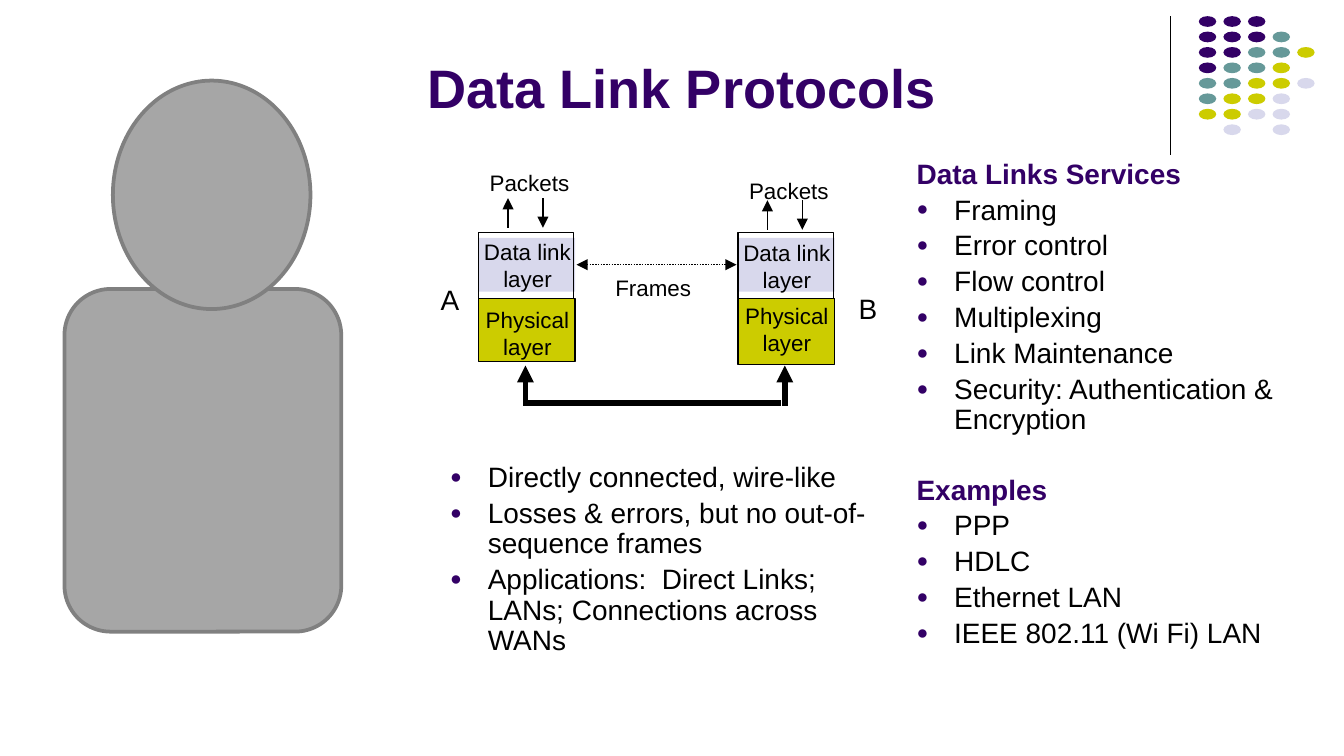
from lxml import etree
from pptx import Presentation
from pptx import util as u
from pptx.dml import color
from pptx.enum import dml, shapes, text
from pptx.oxml import ns

PURPLE, TEAL, OLIVE, LILAC = "330066", "669999", "CCCC00", "D8D8EC"
BLACK, GREY, DARK_GREY = "000000", "A6A6A6", "808080"
DOT_COLOURS = {"P": PURPLE, "T": TEAL, "O": OLIVE, "L": LILAC}
DOT_ROWS = ["PPP", "PPPT", "PPTTO", "PTTO", "TTOOL", "TOOL", "OOLL", " L L"]

LINK_FEATURES = [
    "Directly connected, wire-like",
    "Losses & errors, but no out-of-sequence frames",
    "Applications:  Direct Links; LANs; Connections across WANs",
]
SERVICES = [
    "Data Links Services", "Framing", "Error control", "Flow control",
    "Multiplexing", "Link Maintenance", "Security: Authentication & Encryption",
    "Examples", "PPP", "HDLC", "Ethernet LAN", "IEEE 802.11 (Wi Fi) LAN",
]
HEADINGS = ("Data Links Services", "Examples")


def rgb(value):
    return color.RGBColor.from_string(value)


class SlideBuilder:
    font = "Arial"
    body_size = 15
    label_size = 12
    thin = 0.75

    def __init__(self, page):
        self.page = page

    def style(self, para, size, colour=BLACK, bold=False):
        for span in para.runs:
            span.font.name = self.font
            span.font.size = u.Pt(size)
            span.font.bold = bold
            span.font.color.rgb = rgb(colour)

    def place(self, box, at):
        box.left, box.top, box.width, box.height = map(u.Inches, at)

    def title(self, words, at):
        box = self.page.shapes.title
        self.place(box, at)
        frame = box.text_frame
        frame.text = words
        frame.auto_size = text.MSO_AUTO_SIZE.NONE
        frame.vertical_anchor = text.MSO_ANCHOR.BOTTOM
        frame.paragraphs[0].alignment = text.PP_ALIGN.LEFT
        self.style(frame.paragraphs[0], 29, PURPLE, True)

    def bullet(self, para, shown):
        props = para._p.get_or_add_pPr()
        props.set("marL", str(u.Inches(0.28)))
        props.set("indent", str(u.Inches(-0.28)))
        if not shown:
            etree.SubElement(props, ns.qn("a:buNone"))
            return
        tint = etree.SubElement(props, ns.qn("a:buClr"))
        etree.SubElement(tint, ns.qn("a:srgbClr"), val=PURPLE)
        etree.SubElement(props, ns.qn("a:buSzPct"), val="70000")
        etree.SubElement(props, ns.qn("a:buFont"), typeface=self.font)
        etree.SubElement(props, ns.qn("a:buChar"), char="●")

    def body(self, index, items, at):
        box = self.page.placeholders[index]
        self.place(box, at)
        frame = box.text_frame
        frame.text = "\n".join(items)
        frame.auto_size = text.MSO_AUTO_SIZE.NONE
        frame.vertical_anchor = text.MSO_ANCHOR.TOP
        for number, para in enumerate(frame.paragraphs):
            heading = para.text in HEADINGS
            self.bullet(para, not heading)
            para.line_spacing = 0.9
            gap = 21.5 if heading else 3
            para.space_before = u.Pt(gap if number else 0)
            self.style(para, self.body_size, PURPLE if heading else BLACK, heading)

    def shape(self, kind, at, fill=None, line=None, width=thin):
        box = self.page.shapes.add_shape(kind, *map(u.Inches, at))
        box.shadow.inherit = False
        if fill:
            box.fill.solid()
            box.fill.fore_color.rgb = rgb(fill)
        else:
            box.fill.background()
        if line:
            box.line.color.rgb = rgb(line)
            box.line.width = u.Pt(width)
        else:
            box.line.fill.background()

    def label(self, words, at, size=label_size, align=text.PP_ALIGN.CENTER):
        box = self.page.shapes.add_textbox(*map(u.Inches, at))
        frame = box.text_frame
        frame.text = words
        frame.word_wrap = False
        frame.auto_size = text.MSO_AUTO_SIZE.SHAPE_TO_FIT_TEXT
        for para in frame.paragraphs:
            para.alignment = align
            self.style(para, size)

    def line(self, start, end, width=thin, arrows=(), dash=None):
        link = self.page.shapes.add_connector(
            shapes.MSO_CONNECTOR.STRAIGHT, *map(u.Inches, (*start, *end)))
        link.line.color.rgb = rgb(BLACK)
        link.line.width = u.Pt(width)
        if dash:
            link.line.dash_style = dash
        props = link.element.spPr
        stroke = props.find(ns.qn("a:ln"))
        for arrow in arrows:
            etree.SubElement(stroke, ns.qn(f"a:{arrow}"), type="triangle")
        etree.SubElement(props, ns.qn("a:effectLst"))

    def dots(self):
        for row, codes in enumerate(DOT_ROWS):
            for column, code in enumerate(codes):
                if code in DOT_COLOURS:
                    at = (8.92 + column * 0.183, 0.12 + row * 0.115, 0.13, 0.08)
                    self.shape(shapes.MSO_SHAPE.OVAL, at, DOT_COLOURS[code])

    def host(self, left, link_top, physical_top, packets_top, arrow_top, depth):
        rect = shapes.MSO_SHAPE.RECTANGLE
        self.shape(rect, (left, 1.77, 0.72, 0.4), LILAC)
        self.shape(rect, (left, 1.73, 0.71, 0.49), line=BLACK)
        self.shape(rect, (left, 2.22, 0.72, depth), OLIVE, BLACK)
        self.label("Data link\nlayer", (left - 0.06, link_top, 0.85, 0.51))
        self.label("Physical\nlayer", (left - 0.05, physical_top, 0.83, 0.51))
        self.label("Packets", (left - 0.02, packets_top, 0.8, 0.3))
        for offset, arrow in ((0.22, "headEnd"), (0.48, "tailEnd")):
            x = left + offset
            self.line((x, arrow_top), (x, arrow_top + 0.22), arrows=[arrow])
        self.line((left + 0.35, 2.72), (left + 0.35, 3.02), 3, ["headEnd"])


def main():
    deck = Presentation()
    deck.slide_width = u.Inches(10)
    deck.slide_height = deck.slide_width * 9 // 16
    slide = SlideBuilder(deck.slides.add_slide(deck.slide_layouts[3]))

    slide.title("Data Link Protocols", (3.08, 0.1, 5.67, 0.84))
    slide.body(1, LINK_FEATURES, (3.25, 3.4, 3.31, 1.55))
    slide.body(2, SERVICES, (6.72, 1.14, 2.96, 3.84))
    slide.line((8.71, 0.12), (8.71, 1.15))
    slide.dots()

    slide.host(3.56, 1.72, 2.23, 1.21, 1.475, 0.47)
    slide.host(5.49, 1.73, 2.2, 1.27, 1.49, 0.49)
    slide.line((3.9, 3), (5.81, 3), 3)
    slide.line((4.29, 1.97), (5.48, 1.97), arrows=["headEnd", "tailEnd"],
               dash=dml.MSO_LINE.ROUND_DOT)
    left = text.PP_ALIGN.LEFT
    slide.label("Frames", (4.48, 1.99, 0.77, 0.3), align=left)
    slide.label("A", (3.18, 2.05, 0.34, 0.35), slide.body_size, left)
    slide.label("B", (6.29, 2.12, 0.34, 0.35), slide.body_size, left)

    slide.shape(shapes.MSO_SHAPE.ROUNDED_RECTANGLE, (0.48, 2.15, 2.06, 2.55),
                GREY, DARK_GREY, 2)
    slide.shape(shapes.MSO_SHAPE.OVAL, (0.84, 0.6, 1.47, 1.7), GREY, DARK_GREY, 2)

    deck.save("out.pptx")


if __name__ == "__main__":
    main()
